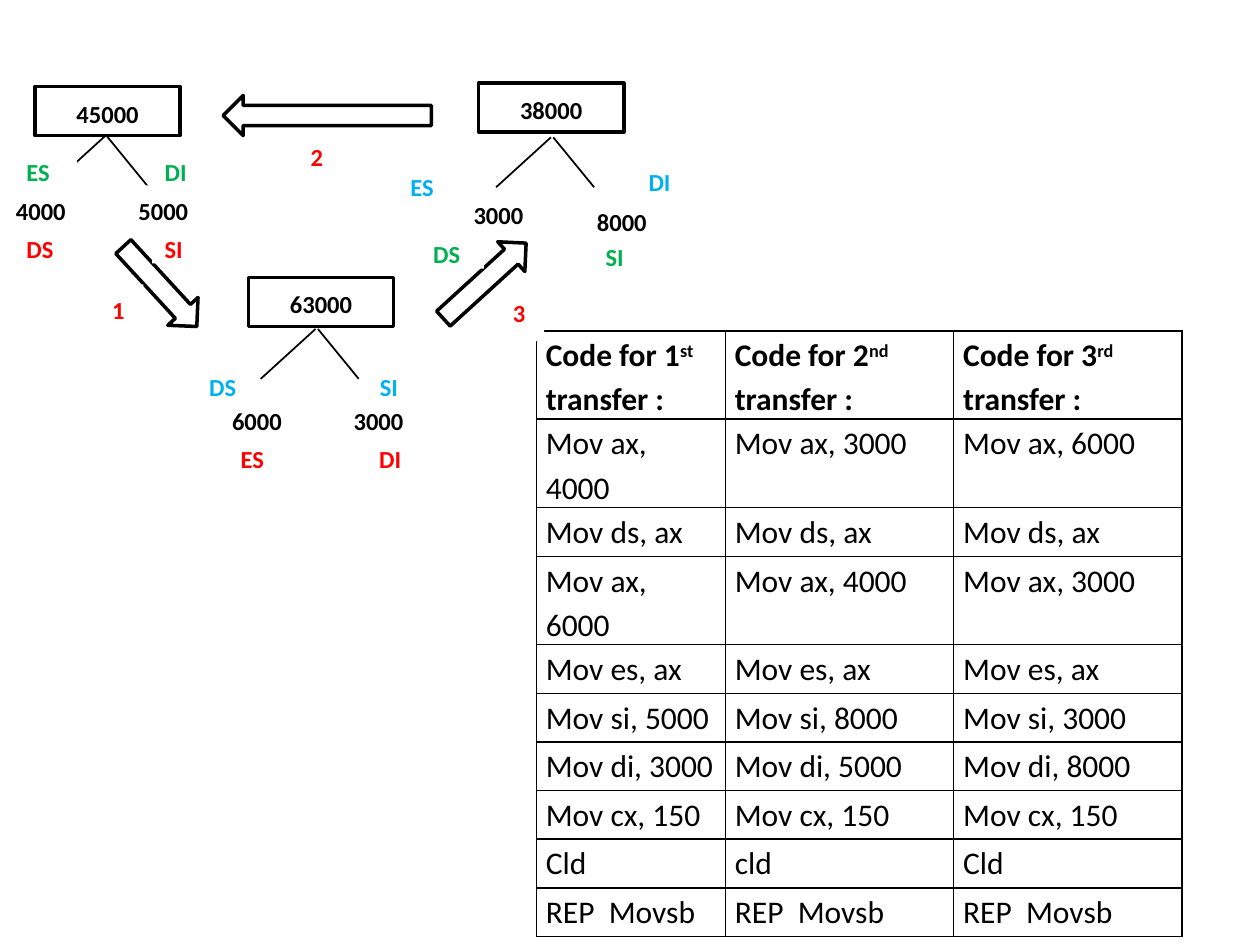
from lxml import etree
from pptx import Presentation
from pptx.dml.color import RGBColor
from pptx.enum import shapes as sh, text as tx
from pptx.oxml import ns
from pptx.util import Pt

HUES = {"ink": "000000", "paper": "FFFFFF", "red": "FF0000",
        "green": "00B050", "blue": "00B0F0"}
FONT = "Calibri"
RECT = sh.MSO_SHAPE.RECTANGLE
ARROW = sh.MSO_SHAPE.LEFT_ARROW

# box corner, fork apex in the box, value corners,
# registers as (name, hue, left, top); all but the apex are on the slide
NODES = [
    dict(name="45000", box=(20, 49.5), apex=(40.5, 28.5),
         vals=[("4000", 2, 106), ("5000", 72, 106)],
         regs=[("DS", "red", 8, 127.5), ("SI", "red", 87, 127.5),
               ("ES", "green", 8, 83.5), ("DI", "green", 87, 83.5)]),
    dict(name="38000", box=(273.5, 47.5), apex=(42, 31),
         vals=[("3000", 263.5, 108.5), ("8000", 334, 112)],
         regs=[("DS", "green", 240.5, 130.5), ("SI", "green", 339, 132.5),
               ("ES", "blue", 227.5, 92), ("DI", "blue", 363.5, 89.5)]),
    dict(name="63000", box=(142, 158.5), apex=(39, 29.5),
         vals=[("6000", 125.5, 226), ("3000", 195, 226)],
         regs=[("ES", "red", 130.5, 247.5), ("DI", "red", 209.5, 247.5),
               ("DS", "blue", 112.5, 206.5), ("SI", "blue", 210, 206.5)]),
]

# arrow box, turn, step number and its corner
MOVES = [
    ((127.5, 54.5, 119, 23), 0, "2", (170.5, 75)),
    ((60.5, 152, 62, 23.5), 227.4, "1", (57, 162.5)),
    ((245, 149, 64, 23), 137.6, "3", (286, 164)),
]

HEADS = [("1", "st"), ("2", "nd"), ("3", "rd")]
CODE = [
    ("Mov ax, 4000", "Mov ax, 3000", "Mov ax, 6000"),
    ("Mov ds, ax",) * 3,
    ("Mov ax, 6000", "Mov ax, 4000", "Mov ax, 3000"),
    ("Mov es, ax",) * 3,
    ("Mov si, 5000", "Mov si, 8000", "Mov si, 3000"),
    ("Mov di, 3000", "Mov di, 5000", "Mov di, 8000"),
    ("Mov cx, 150",) * 3,
    ("Cld", "cld", "Cld"),
    ("REP  Movsb",) * 3,
]


def color(hue):
    return RGBColor.from_string(HUES[hue])


def write(frame, text, size=14, hue="ink", bold=True, after=10,
          align=tx.PP_ALIGN.LEFT, base=0):
    """Add one run to the first paragraph of a frame."""
    para = frame.paragraphs[0]
    para.alignment = align
    para.line_spacing = 1.15
    para.space_after = Pt(after)
    run = para.add_run()
    run.text = text
    font = run.font
    font.name, font.size, font.bold = FONT, Pt(size), bold
    font.color.rgb = color(hue)
    if base:
        run._r.get_or_add_rPr().set("baseline", str(base * 1000))


def shape(slide, kind, x, y, w, h, line=False):
    """Add an outlined shape, or a plain white one without a line."""
    item = slide.shapes.add_shape(kind, Pt(x), Pt(y), Pt(w), Pt(h))
    item.shadow.inherit = False
    if line:
        item.fill.background()
        item.line.color.rgb = color("ink")
        item.line.width = Pt(2)
    else:
        item.fill.solid()
        item.fill.fore_color.rgb = color("paper")
        item.line.fill.background()
    return item


def label(slide, text, x, y, w, h, hue="ink"):
    frame = shape(slide, RECT, x, y, w, h).text_frame
    frame.word_wrap = True
    frame.vertical_anchor = tx.MSO_ANCHOR.TOP
    write(frame, text, hue=hue)


def stroke(slide, x, y, right, low):
    line = slide.shapes.add_connector(sh.MSO_CONNECTOR.STRAIGHT,
                                      Pt(x), Pt(y), Pt(right), Pt(low))
    line.line.color.rgb = color("ink")
    line.line.width = Pt(1)
    etree.SubElement(line._element.spPr, ns.qn("a:effectLst"))


def node(slide, name, box, apex, vals, **rest):
    """Draw an address box with its fork and the two values below."""
    x, y = box
    frame = shape(slide, RECT, x, y, 83, 28, line=True).text_frame
    frame.word_wrap = True
    frame.vertical_anchor = tx.MSO_ANCHOR.MIDDLE
    write(frame, name, align=tx.PP_ALIGN.CENTER)
    x, y = x + apex[0], y + apex[1]
    for start, end in ((0.7, 24), (-0.7, -32)):
        stroke(slide, x + start, y, x + end, y + 28.5)
    for text, left, top in vals:
        label(slide, text, left, top, 45.5, 19.5)


def move(slide, box, turn, step, spot):
    """Draw a transfer arrow and its step number."""
    shape(slide, ARROW, *box, line=True).rotation = turn
    label(slide, step, *spot, 25, 31, hue="red")


def tags(slide, regs):
    """Place register names around a node."""
    for name, hue, x, y in regs:
        label(slide, name, x, y, 36 if name.endswith("S") else 31.5, 23, hue)


def edge(cell):
    """Give a cell four thin black borders and no fill."""
    props = cell._tc.get_or_add_tcPr()
    for side in ("lnL", "lnR", "lnT", "lnB"):
        line = etree.SubElement(props, ns.qn("a:" + side), w=str(Pt(1)))
        fill = etree.SubElement(line, ns.qn("a:solidFill"))
        etree.SubElement(fill, ns.qn("a:srgbClr"), val=HUES["ink"])
    cell.fill.background()


def listing(slide, x, y, cols):
    """Draw the table of code, one column for each transfer."""
    high = 27.8
    rows = len(CODE) + 1
    grid = slide.shapes.add_table(rows, len(cols), Pt(x), Pt(y),
                                  Pt(sum(cols)), Pt(high * rows)).table
    grid.first_row = grid.horz_banding = False
    for col, wide in zip(grid.columns, cols):
        col.width = Pt(wide)
    for row in grid.rows:
        row.height = Pt(high)
    grid.rows[0].height = Pt(32)
    for cell in grid.iter_cells():
        cell.margin_left = cell.margin_right = Pt(5.4)
        cell.margin_top = cell.margin_bottom = 0
        edge(cell)
    form = dict(size=18, after=0)
    for c, (num, mark) in enumerate(HEADS):
        frame = grid.cell(0, c).text_frame
        write(frame, "Code for " + num, **form)
        write(frame, mark, base=30, **form)
        write(frame, " transfer :", **form)
    for r, line in enumerate(CODE, 1):
        for c, text in enumerate(line):
            write(grid.cell(r, c).text_frame, text, bold=False, **form)


def main():
    deck = Presentation()
    deck.slide_width, deck.slide_height = Pt(720), Pt(540)
    slide = deck.slides.add_slide(deck.slide_layouts[6])
    listing(slide, 306.5, 189, (108, 130.5, 130.5))
    for item in NODES:
        node(slide, **item)
    for item in MOVES:
        move(slide, *item)
    for item in NODES:
        tags(slide, item["regs"])
    deck.save("out.pptx")


if __name__ == "__main__":
    main()
